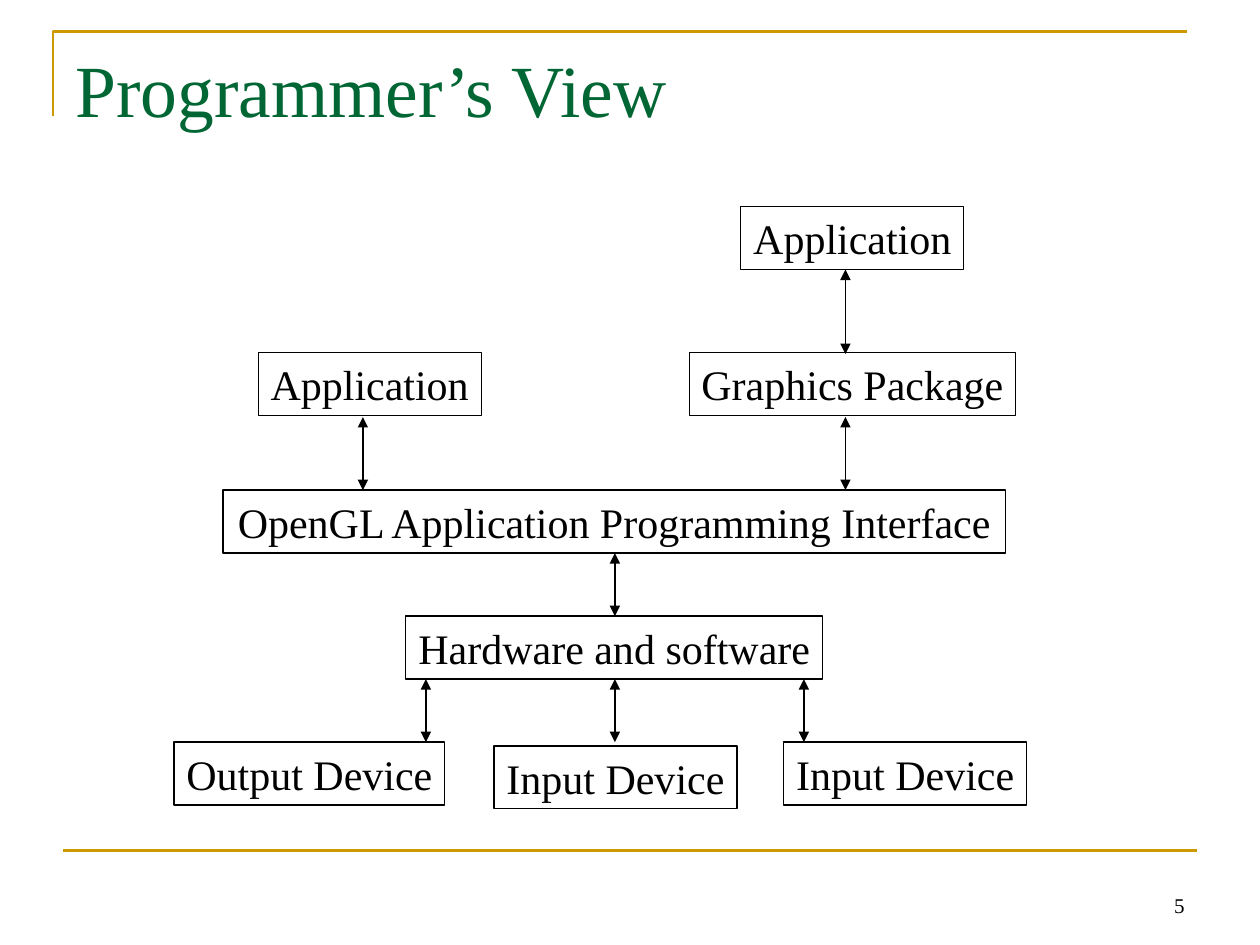
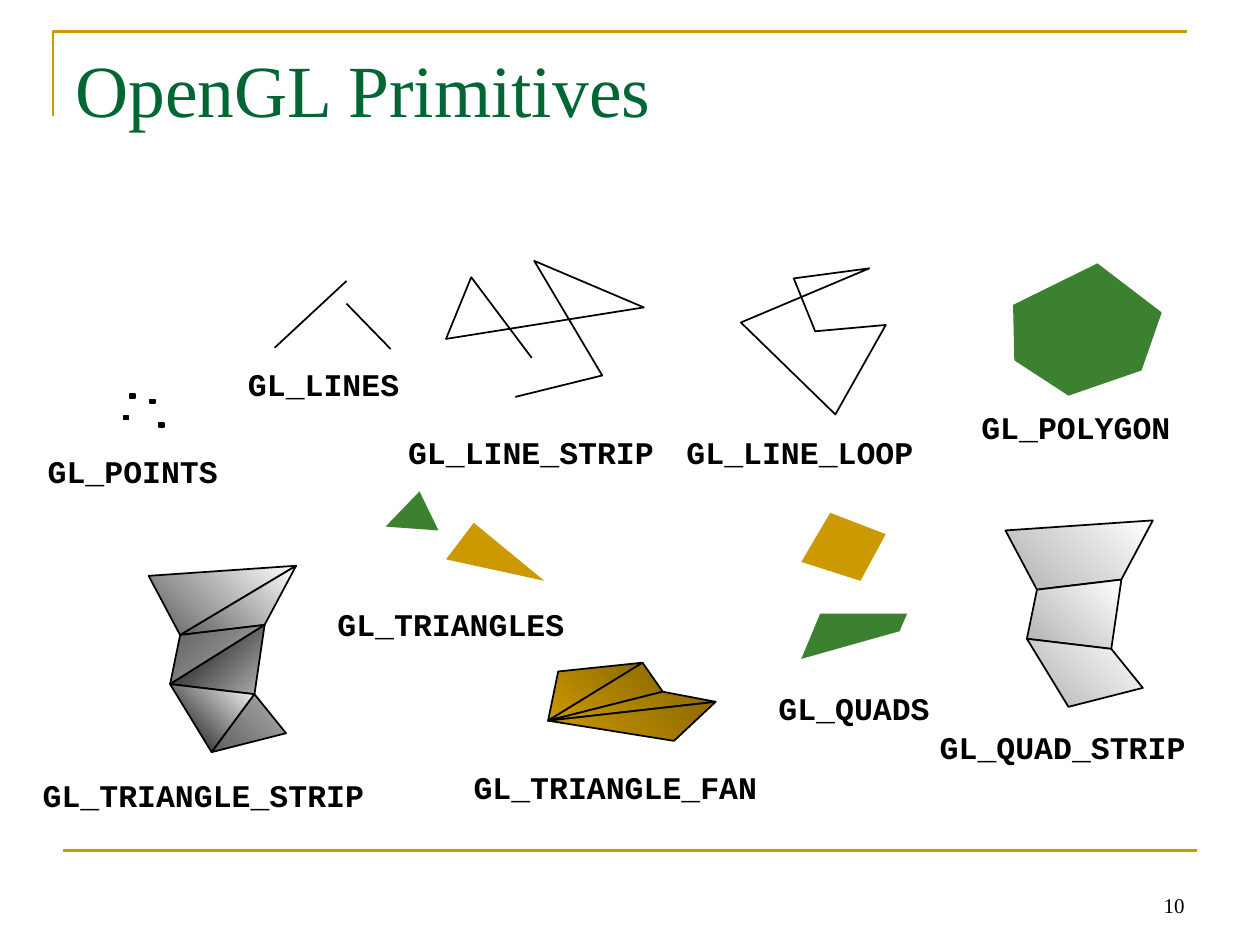
from lxml import etree
from pptx import Presentation
from pptx.dml.color import RGBColor
from pptx.enum import shapes, text
from pptx.oxml import ns
from pptx.util import Inches, Pt

GOLD = RGBColor(0xCC, 0x99, 0x00)
BROWN = RGBColor(0x8D, 0x6A, 0x00)
PINE = RGBColor(0x00, 0x66, 0x33)
LEAF = RGBColor(0x3B, 0x81, 0x2F)
BLACK = RGBColor(0x00, 0x00, 0x00)
WHITE = RGBColor(0xFF, 0xFF, 0xFF)
SILVER = RGBColor(0xB1, 0xB1, 0xB1)
ASH = RGBColor(0xAE, 0xAE, 0xAE)
SLATE = RGBColor(0x5F, 0x5F, 0x5F)
SERIF, MONO = "Times New Roman", "Courier New"
DOWN, UP = 225, 135  # gradient angles, counter-clockwise

# Corners of a strip, zigzagging left and right
ZIGZAG = [(0, .08), (1.17, 0), (.25, .55), (.92, .47),
          (.17, .94), (.84, 1.02), (.5, 1.48), (1.09, 1.33)]
# Hub of the fan, then its rim
HUB = (0, .46)
RIM = [(.08, .07), (.75, 0), (.91, .23), (1.33, .31), (1, .62)]

# Name, left, top, label offset, outlines as (points, fill)
FLAT = [
    ("GL_LINE_STRIP", 3.54, 2.07, (-.4, 1.32), [
        ([(.68, .77), (.2, .13), (0, .62), (1.57, .37), (.7, 0),
          (1.24, .91), (.55, 1.08)], None)]),
    ("GL_LINE_LOOP", 5.88, 2.13, (-.53, 1.26), [
        ([(.59, .5), (.42, .08), (1.02, 0), (0, .43), (.75, 1.16),
          (1.15, .45), (.59, .5)], None)]),
    ("GL_POLYGON", 8.04, 2.09, (-.35, 1.1), [
        ([(0, .33), (.67, 0), (1.18, .39), (1.02, .85), (.44, 1.05),
          (.01, .77)], LEAF)]),
    ("GL_TRIANGLES", 3.06, 3.9, (-.48, .85), [
        ([(.27, 0), (0, .28), (.42, .31)], LEAF),
        ([(.7, .25), (.48, .54), (1.26, .71)], GOLD)]),
    ("GL_QUADS", 6.36, 4.07, (-.28, 1.35), [
        ([(0, .39), (.23, 0), (.67, .17), (.47, .54)], GOLD),
        ([(0, 1.16), (.15, .8), (.84, .8), (.78, .94)], LEAF)]),
]


def style(para, size, font=SERIF, color=BLACK, bold=False):
    para.font.size, para.font.name, para.font.bold = Pt(size), font, bold
    para.font.color.rgb = color


def stroke(shape, color=BLACK, width=1):
    shape.line.color.rgb = color
    shape.line.width = Pt(width)


def line(slide, x1, y1, x2, y2, color=BLACK, width=1, arrows=False):
    link = slide.shapes.add_connector(
        shapes.MSO_CONNECTOR.STRAIGHT,
        Inches(x1), Inches(y1), Inches(x2), Inches(y2))
    stroke(link, color, width)
    if arrows:
        for end in ("a:headEnd", "a:tailEnd"):
            etree.SubElement(link.line._get_or_add_ln(), ns.qn(end),
                             type="triangle")
    etree.SubElement(link._element.spPr, ns.qn("a:effectLst"))


def outline(slide, x, y, points, close):
    """Unfilled freeform whose points are relative to (x, y)."""
    first, *rest = [(Inches(x + dx), Inches(y + dy)) for dx, dy in points]
    pen = slide.shapes.build_freeform(*first)
    pen.add_line_segments(rest, close=close)
    shape = pen.convert_to_shape()
    shape.shadow.inherit = False
    shape.fill.background()
    return shape


def shade(slide, x, y, points, start, end, angle=DOWN):
    """Closed outline with a two-colour gradient."""
    shape = outline(slide, x, y, points, True)
    shape.fill.gradient()
    shape.fill.gradient_angle = angle
    for stop, color in zip(shape.fill.gradient_stops, (start, end)):
        stop.color.rgb = color
    stroke(shape)


def label(slide, x, y, name):
    width = .15 * len(name) + .2
    box = slide.shapes.add_textbox(
        Inches(x), Inches(y), Inches(width), Inches(.4))
    box.text_frame.word_wrap = False
    box.text_frame.text = name
    style(box.text_frame.paragraphs[0], 18, MONO, bold=True)


def add_page(deck, title, number):
    """Slide with the gold frame, its title and its number."""
    slide = deck.slides.add_slide(deck.slide_layouts[5])
    corner = outline(slide, .42, .25, [(0, .67), (0, 0), (9, 0)], False)
    stroke(corner, GOLD, 1.5)
    line(slide, .5, 6.75, 9.5, 6.75, GOLD, 1.5)

    head = slide.shapes.title
    head.left, head.top = Inches(.5), Inches(.3)
    head.width, head.height = Inches(9), Inches(1.25)
    frame = head.text_frame
    frame.text = title
    frame.vertical_anchor = text.MSO_ANCHOR.TOP
    frame.auto_size = text.MSO_AUTO_SIZE.NONE
    frame.paragraphs[0].alignment = text.PP_ALIGN.LEFT
    style(frame.paragraphs[0], 42, color=PINE)

    foot = slide.shapes.add_textbox(
        Inches(7.17), Inches(6.83), Inches(2.33), Inches(.5)).text_frame
    foot.word_wrap = True
    foot.vertical_anchor = text.MSO_ANCHOR.BOTTOM
    foot.text = str(number)
    foot.paragraphs[0].alignment = text.PP_ALIGN.RIGHT
    style(foot.paragraphs[0], 12)
    return slide


def add_layers(slide, x, y):
    """Software layers, linked by double arrows."""
    layers = [
        ("Application", 4.5, 0, 1.77),
        ("Graphics Package", 4.09, 1.16, 2.59),
        ("Application", .67, 1.16, 1.77),
        ("OpenGL Application Programming Interface", .39, 2.25, 6.21),
        ("Hardware and software", 1.84, 3.25, 3.31),
        ("Output Device", 0, 4.25, 2.15),
        ("Input Device", 2.54, 4.28, 1.93),
        ("Input Device", 4.84, 4.25, 1.93),
    ]
    for name, dx, dy, width in layers:
        box = slide.shapes.add_shape(
            shapes.MSO_SHAPE.RECTANGLE, Inches(x + dx), Inches(y + dy),
            Inches(width), Inches(.5))
        box.shadow.inherit = False
        box.fill.background()
        stroke(box, width=.75)
        frame = box.text_frame
        frame.word_wrap = False
        frame.vertical_anchor = text.MSO_ANCHOR.TOP
        frame.text = name
        frame.paragraphs[0].alignment = text.PP_ALIGN.CENTER
        style(frame.paragraphs[0], 24)

    links = [(5.33, .5, 1.17), (1.5, 1.67, 2.25), (5.33, 1.67, 2.25),
             (3.5, 2.75, 3.25)]
    links += [(dx, 3.75, 4.25) for dx in (2, 3.5, 5)]
    for dx, top, end in links:
        line(slide, x + dx, y + top, x + dx, y + end,
             width=.75, arrows=True)


def add_points(slide, x, y):
    for dx, dy in [(.05, 0), (.21, .04), (0, .17), (.28, .23)]:
        dot = slide.shapes.add_shape(
            shapes.MSO_SHAPE.RECTANGLE, Inches(x + dx), Inches(y + dy),
            Inches(.04), Inches(.03))
        dot.shadow.inherit = False
        dot.fill.solid()
        dot.fill.fore_color.rgb = BLACK
        stroke(dot)
    label(slide, x - .7, y + .41, "GL_POINTS")


def add_lines(slide, x, y):
    line(slide, x, y + .53, x + .57, y)
    line(slide, x + .57, y + .18, x + .92, y + .54)
    label(slide, x - .31, y + .62, "GL_LINES")


def add_flat(slide, name, x, y, shift, parts):
    """Figure of plain outlines: filled, or stroked when it has no fill."""
    for points, color in parts:
        shape = outline(slide, x, y, points, color is not None)
        if color is None:
            stroke(shape)
        else:
            shape.fill.solid()
            shape.fill.fore_color.rgb = color
            shape.line.fill.background()
    label(slide, x + shift[0], y + shift[1], name)


def add_tri_strip(slide, x, y):
    tones = [(WHITE, SLATE, DOWN), (WHITE, SLATE, DOWN), (ASH, SLATE, UP),
             (SILVER, BLACK, UP), (WHITE, BLACK, DOWN), (ASH, SLATE, DOWN)]
    for i, tone in enumerate(tones):
        shade(slide, x, y, ZIGZAG[i:i + 3], *tone)
    label(slide, x - .94, y + 1.62, "GL_TRIANGLE_STRIP")


def add_quad_strip(slide, x, y):
    for i in range(0, len(ZIGZAG) - 2, 2):
        a, b, c, d = ZIGZAG[i:i + 4]
        shade(slide, x, y, [a, b, d, c], WHITE, SILVER)
    label(slide, x - .62, y + 1.6, "GL_QUAD_STRIP")


def add_fan(slide, x, y):
    for pair in zip(RIM, RIM[1:]):
        shade(slide, x, y, [HUB, *pair], BROWN, GOLD)
    label(slide, x - .69, y + .79, "GL_TRIANGLE_FAN")


def main():
    deck = Presentation()
    deck.slide_width, deck.slide_height = Inches(10), Inches(7.5)

    # Layer diagram
    add_layers(add_page(deck, "Programmer’s View", 5), 1.38, 1.64)

    # Gallery of primitives
    slide = add_page(deck, "OpenGL Primitives", 10)
    add_points(slide, .98, 3.13)
    add_lines(slide, 2.18, 2.23)
    for figure in FLAT:
        add_flat(slide, *figure)
    add_tri_strip(slide, 1.18, 4.49)
    add_fan(slide, 4.35, 5.26)
    add_quad_strip(slide, 7.98, 4.13)

    deck.save("out.pptx")


if __name__ == "__main__":
    main()
